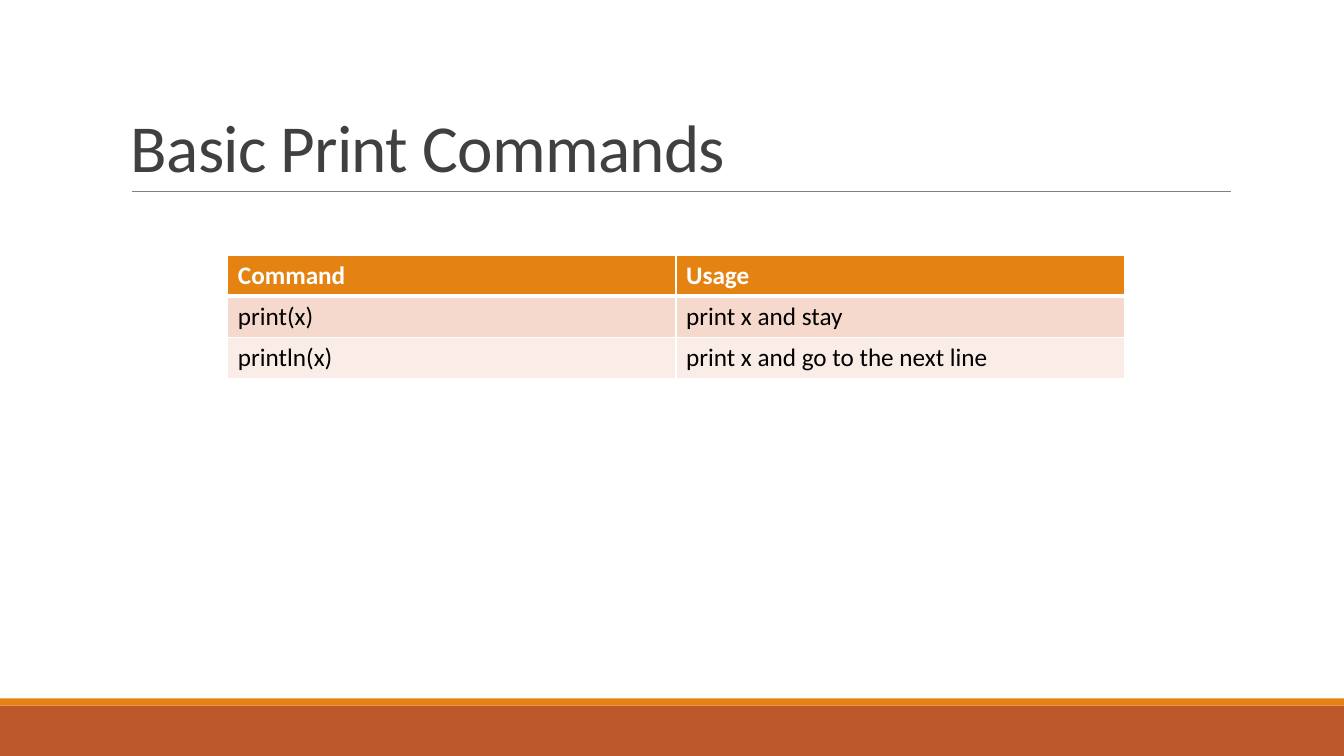
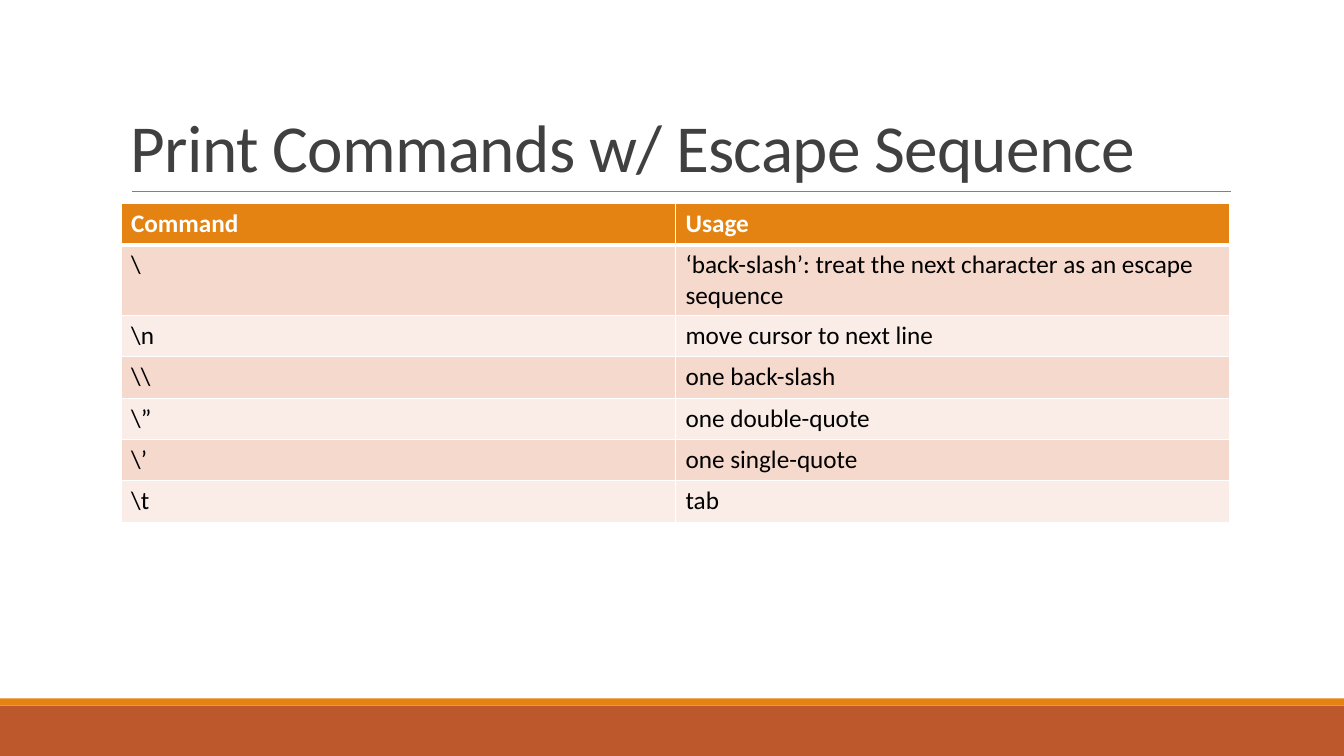
from lxml import etree
from pptx import Presentation
from pptx.dml.color import RGBColor
from pptx.enum.shapes import MSO_CONNECTOR, MSO_SHAPE
from pptx.enum.text import MSO_ANCHOR
from pptx.oxml.ns import qn
from pptx.util import Inches, Pt

RECTANGLE = MSO_SHAPE.RECTANGLE
STRAIGHT = MSO_CONNECTOR.STRAIGHT
BOTTOM = MSO_ANCHOR.BOTTOM

WHITE = RGBColor(0xFF, 0xFF, 0xFF)
BLACK = RGBColor(0x00, 0x00, 0x00)
ORANGE = RGBColor(0xE4, 0x83, 0x12)
RUST = RGBColor(0xBD, 0x58, 0x2C)
TITLE_GREY = RGBColor(0x40, 0x40, 0x40)
RULE_GREY = RGBColor(0x80, 0x80, 0x80)
ROW_FILLS = [RGBColor(0xFA, 0xED, 0xE7), RGBColor(0xF5, 0xD9, 0xCC)]

FONT = "Calibri"
SLIDE_WIDTH = 13.33
ROW_HEIGHT = 0.41
BANDS = [(7, 0.5, RUST), (6.93, 0.07, ORANGE)]
HEADER = ("Command", "Usage")

SLIDES = [
    ("Basic Print Commands", 2.26, 2.53, 8.89, [
        ("print(x)", "print x and stay"),
        ("println(x)", "print x and go to the next line"),
    ]),
    ("Print Commands w/ Escape Sequence", 1.2, 2.02, 11, [
        ("\\", "‘back-slash’: treat the next character as an escape sequence"),
        ("\\n", "move cursor to next line"),
        ("\\\\", "one back-slash"),
        ("\\”", "one double-quote"),
        ("\\’", "one single-quote"),
        ("\\t", "tab"),
    ]),
]


def format_run(run, size, color, bold=False):
    run.font.name = FONT
    run.font.size = Pt(size)
    run.font.color.rgb = color
    run.font.bold = bold


def set_borders(cell, widths):
    properties = cell._tc.get_or_add_tcPr()
    for position, (side, width) in enumerate(widths.items()):
        line = etree.Element(qn(f"a:ln{side}"), w=str(Pt(width)))
        fill = etree.SubElement(line, qn("a:solidFill"))
        etree.SubElement(fill, qn("a:srgbClr"), val=str(WHITE))
        properties.insert(position, line)


presentation = Presentation()
presentation.slide_width = Inches(SLIDE_WIDTH)
presentation.slide_height = Inches(7.5)
blank_layout = presentation.slide_layouts[6]

for title, left, top, width, body in SLIDES:
    slide = presentation.slides.add_slide(blank_layout)

    for band_top, band_height, color in BANDS:
        band = slide.shapes.add_shape(
            RECTANGLE, 0, Inches(band_top), Inches(SLIDE_WIDTH), Inches(band_height))
        band.shadow.inherit = False
        band.fill.solid()
        band.fill.fore_color.rgb = color
        band.line.fill.background()

    rule = slide.shapes.add_connector(
        STRAIGHT, Inches(1.31), Inches(1.9), Inches(12.21), Inches(1.9))
    rule.line.color.rgb = RULE_GREY
    rule.line.width = Pt(0.5)
    etree.SubElement(rule._element.spPr, qn("a:effectLst"))

    title_box = slide.shapes.add_textbox(Inches(1.2), Inches(0.31), Inches(11), Inches(1.59))
    title_frame = title_box.text_frame
    title_frame.word_wrap = True
    title_frame.vertical_anchor = BOTTOM
    title_frame.text = title
    paragraph = title_frame.paragraphs[0]
    paragraph.line_spacing = 0.85
    title_run = paragraph.runs[0]
    format_run(title_run, 48, TITLE_GREY)
    title_run.font._element.set("spc", "-50")

    rows = [HEADER] + body
    table = slide.shapes.add_table(
        len(rows), len(HEADER), Inches(left), Inches(top),
        Inches(width), Inches(ROW_HEIGHT * len(rows))).table
    for row_index, texts in enumerate(rows):
        is_header = row_index == 0
        table.rows[row_index].height = Inches(ROW_HEIGHT)
        for column_index, text in enumerate(texts):
            cell = table.cell(row_index, column_index)
            cell.fill.solid()
            cell.fill.fore_color.rgb = ORANGE if is_header else ROW_FILLS[row_index % 2]
            cell.text_frame.text = text
            format_run(cell.text_frame.paragraphs[0].runs[0], 18,
                       WHITE if is_header else BLACK, is_header)
            set_borders(cell, {"L": 1, "R": 1, "T": 3 if row_index == 1 else 1,
                               "B": 3 if is_header else 1})

presentation.save("out.pptx")
